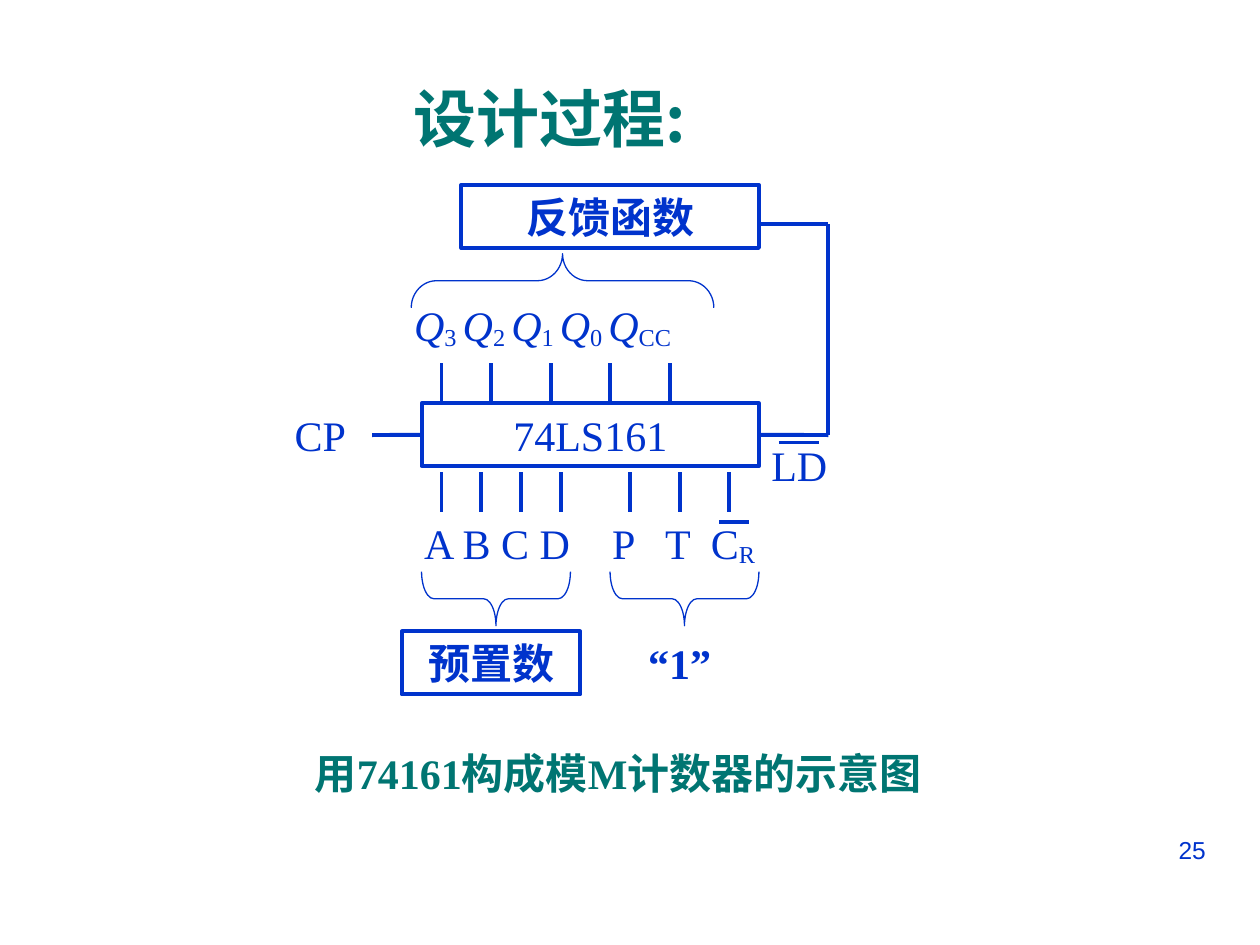
"""Build the slide on designing a modulo-M counter around a 74LS161."""
import lxml.etree
import pptx
import pptx.dml.color
import pptx.enum.shapes
import pptx.enum.text
import pptx.oxml.ns
import pptx.util

Cm = pptx.util.Cm
ALIGN = pptx.enum.text.PP_ALIGN
SHAPE = pptx.enum.shapes.MSO_SHAPE
qn = pptx.oxml.ns.qn
BLUE, GREEN = "0033CC", "007572"
SERIF, SANS = "Times New Roman", "Noto Sans CJK SC"


def colour(code):
    return pptx.dml.color.RGBColor.from_string(code)


def write(holder, runs, size=24, face=SERIF, ink=BLUE, bold=False, align=ALIGN.LEFT):
    frame = holder.text_frame
    frame.word_wrap = True
    frame.auto_size = pptx.enum.text.MSO_AUTO_SIZE.NONE
    paragraph = frame.paragraphs[0]
    paragraph.alignment = align
    for text, style in runs:
        run = paragraph.add_run()
        run.text = text
        run.font.name = face
        run.font.size = pptx.util.Pt(size)
        run.font.bold = bold
        run.font.italic = style == "italic"
        run.font.color.rgb = colour(ink)
        properties = run._r.get_or_add_rPr()
        lxml.etree.SubElement(properties, qn("a:ea")).set("typeface", SANS)
        if style == "sub":
            properties.set("baseline", "-10000")
    return paragraph


deck = pptx.Presentation()
deck.slide_width, deck.slide_height = Cm(25.4), Cm(19.05)
slide = deck.slides.add_slide(deck.slide_layouts[5])
shapes = slide.shapes

heading = shapes.title
heading.left, heading.top, heading.width, heading.height = Cm(2.49), Cm(1.52), Cm(17.2), Cm(1.7)
write(heading, [("设计过程:", "")], 36, SANS, GREEN, True, ALIGN.CENTER)

blocks = []
for left, top, width, label, bold in [
    (8.5, 8.13, 6.8, "74LS161", False),
    (9.3, 3.73, 6, "反馈函数", True),
    (8.1, 12.73, 3.6, "预置数", True),
]:
    block = shapes.add_shape(SHAPE.RECTANGLE, Cm(left), Cm(top), Cm(width), Cm(1.27))
    block.shadow.inherit = False
    block.fill.background()
    block.line.color.rgb = colour(BLUE)
    block.line.width = pptx.util.Pt(2.25)
    write(block, [(label, "")], bold=bold, align=ALIGN.CENTER)
    blocks.append(block)
chip = blocks[0]

outputs = []
for index in ["3 ", "2 ", "1 ", "0 ", "CC"]:
    outputs += [("Q", "italic"), (index, "sub")]

pin_labels = []
for left, top, width, runs in [
    (5.69, 8.13, 1.8, [("CP", "")]),
    (8.1, 5.92, 7, outputs),
    (8.3, 10.31, 3.6, [("A B C D", "")]),
    (15.3, 8.74, 1.8, [("LD", "")]),
    (12.09, 10.31, 3.8, [("P\tT\tC", ""), ("R", "sub")]),
]:
    label_box = shapes.add_textbox(Cm(left), Cm(top), Cm(width), Cm(1.27))
    pin_labels.append(write(label_box, runs))
control_tabs = lxml.etree.SubElement(pin_labels[-1]._p.get_or_add_pPr(), qn("a:tabLst"))
for position in (1.07, 1.99):
    tab = lxml.etree.SubElement(control_tabs, qn("a:tab"))
    tab.set("pos", str(Cm(position)))
    tab.set("algn", "l")

constant = shapes.add_textbox(Cm(11.9), Cm(12.73), Cm(3.6), Cm(1.27))
write(constant, [("“1”", "")], bold=True, align=ALIGN.CENTER)

wires = [(x, 7.32, x, 8.13) for x in (8.9, 9.9, 11.1, 12.3, 13.5)]
wires += [(x, 9.52, x, 10.32) for x in (8.9, 9.7, 10.5, 11.3, 12.7, 13.7, 14.7)]
wires += [(14.5, 10.52, 15.1, 10.52), (15.7, 8.92, 16.5, 8.92)]
wires += [(15.3, 4.52, 16.7, 4.52), (16.7, 4.52, 16.7, 8.77)]
wires += [(7.5, 8.77, 8.5, 8.77), (15.3, 8.77, 16.7, 8.77)]
drawn_wires = []
for ends in wires:
    wire = shapes.add_connector(pptx.enum.shapes.MSO_CONNECTOR.STRAIGHT, *map(Cm, ends))
    wire.line.color.rgb = colour(BLUE)
    wire.line.width = pptx.util.Pt(2.25)
    lxml.etree.SubElement(wire._element.spPr, qn("a:effectLst"))
    drawn_wires.append(wire)
clock_wire, load_wire = drawn_wires[-2:]
clock_wire.end_connect(chip, 1)
load_wire.begin_connect(chip, 3)

depth = 1.09
for centre_x, centre_y, span, turn in [
    (11.34, 5.66, 6.1, 90),
    (10, 12.07, 3, 270),
    (13.8, 12.07, 3, 270),
]:
    brace = shapes.add_shape(
        SHAPE.LEFT_BRACE, Cm(centre_x - depth / 2), Cm(centre_y - span / 2), Cm(depth), Cm(span)
    )
    brace.rotation = turn
    brace.adjustments[0] = span / 12 / depth
    brace.shadow.inherit = False
    brace.fill.background()
    brace.line.color.rgb = colour(BLUE)
    brace.line.width = pptx.util.Pt(0.75)

caption_box = shapes.add_textbox(Cm(6.1), Cm(14.94), Cm(13.41), Cm(1.4))
caption = write(caption_box, [("用74161构成模M计数器的示意图", "")], ink=GREEN, bold=True)
caption.space_before = pptx.util.Pt(6)
caption_indent = caption._p.get_or_add_pPr()
caption_indent.set("marL", str(Cm(0.95)))
caption_indent.set("indent", str(-Cm(0.95)))

page_number = shapes.add_textbox(Cm(18.21), Cm(16.71), Cm(6.35), Cm(1.32))
write(page_number, [("25", "")], 14, "Arial", align=ALIGN.RIGHT)

deck.save("out.pptx")
